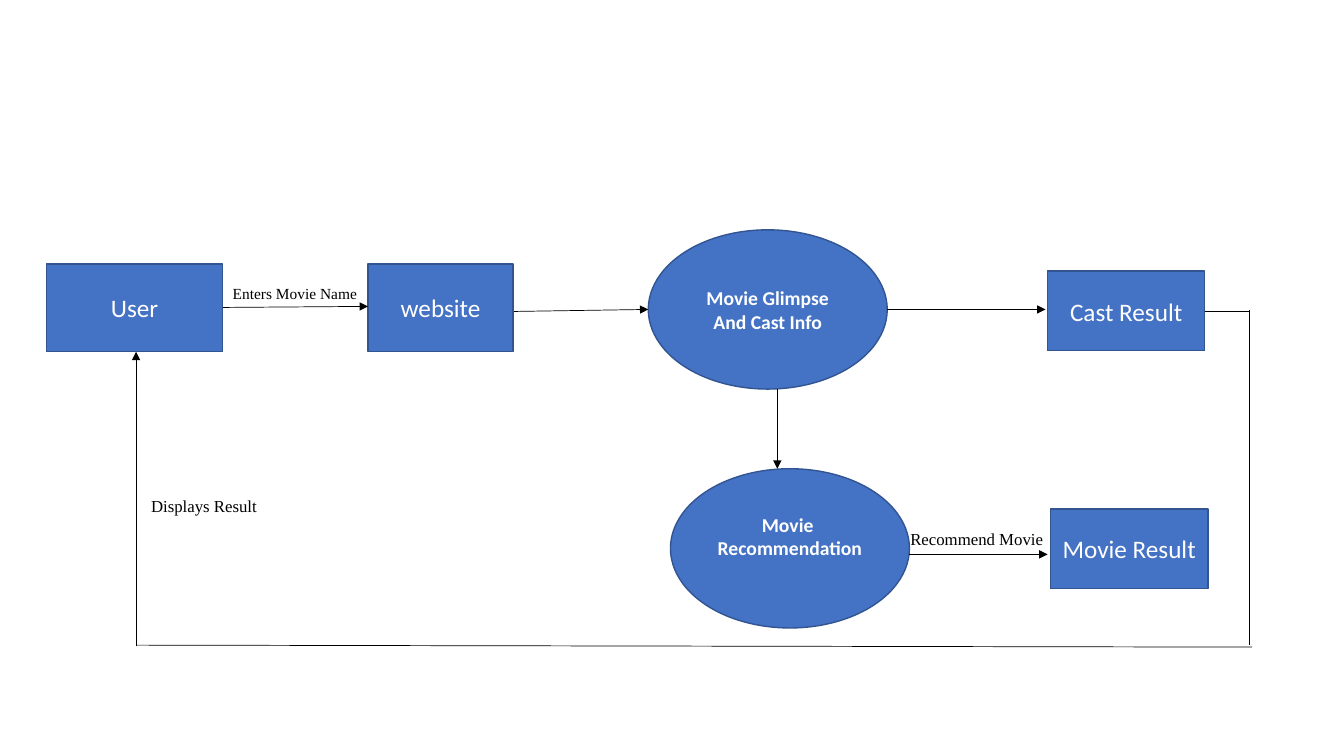
from lxml.etree import SubElement
from pptx import Presentation
from pptx.dml.color import RGBColor
from pptx.enum.shapes import MSO_CONNECTOR, MSO_SHAPE
from pptx.enum.text import MSO_ANCHOR, PP_ALIGN
from pptx.oxml.ns import qn
from pptx.util import Inches, Pt

BLUE = RGBColor(0x44, 0x72, 0xC4)
DARK_BLUE = RGBColor(0x32, 0x54, 0x91)
WHITE = RGBColor(0xFF, 0xFF, 0xFF)
BLACK = RGBColor(0x00, 0x00, 0x00)


class FlowDiagram:
    box_font = {"name": "Calibri", "size": Pt(18), "bold": False}
    process_font = {"name": "Calibri", "size": Pt(14), "bold": True}
    label_font = {"name": "Times New Roman"}

    def __init__(self, slide):
        self.slide = slide

    def fill_text(self, text_frame, text, font_format, color, alignment):
        text_frame.text = text
        for paragraph in text_frame.paragraphs:
            paragraph.alignment = alignment
            for run in paragraph.runs:
                for name, value in font_format.items():
                    setattr(run.font, name, value)
                run.font.color.rgb = color

    def node(self, kind, bounds, text, font_format):
        shape = self.slide.shapes.add_shape(kind, *map(Inches, bounds))
        shape.shadow.inherit = False
        shape.fill.solid()
        shape.fill.fore_color.rgb = BLUE
        shape.line.color.rgb = DARK_BLUE
        shape.line.width = Pt(1)
        shape.text_frame.word_wrap = True
        shape.text_frame.vertical_anchor = MSO_ANCHOR.MIDDLE
        self.fill_text(shape.text_frame, text, font_format, WHITE, PP_ALIGN.CENTER)
        return shape

    def box(self, left, top, width, height, text):
        bounds = (left, top, width, height)
        return self.node(MSO_SHAPE.RECTANGLE, bounds, text, self.box_font)

    def process(self, left, top, text):
        bounds = (left, top, 2.37, 1.58)
        return self.node(MSO_SHAPE.FLOWCHART_CONNECTOR, bounds, text, self.process_font)

    def label(self, left, top, width, height, text, size, wrap=True):
        text_box = self.slide.shapes.add_textbox(*map(Inches, (left, top, width, height)))
        text_box.text_frame.word_wrap = wrap
        font_format = {**self.label_font, "size": Pt(size)}
        self.fill_text(text_box.text_frame, text, font_format, BLACK, PP_ALIGN.LEFT)

    def line(self, start, end, arrow=False):
        connector = self.slide.shapes.add_connector(
            MSO_CONNECTOR.STRAIGHT, *map(Inches, start + end))
        connector.line.color.rgb = BLACK
        connector.line.width = Pt(0.5)
        properties = connector._element.spPr
        if arrow:
            SubElement(properties.find(qn("a:ln")), qn("a:tailEnd"), type="triangle")
        SubElement(properties, qn("a:effectLst"))


def main():
    presentation = Presentation()
    presentation.slide_width = Inches(13.33)
    presentation.slide_height = Inches(7.5)
    diagram = FlowDiagram(presentation.slides.add_slide(presentation.slide_layouts[6]))

    for box in (
        (0.46, 2.62, 1.75, 0.87, "User"),
        (3.65, 2.62, 1.44, 0.87, "website"),
        (10.42, 5.05, 1.56, 0.79, "Movie Result"),
        (10.39, 2.69, 1.56, 0.79, "Cast Result"),
    ):
        diagram.box(*box)

    diagram.process(6.43, 2.28, "Movie Glimpse\nAnd Cast Info")
    recommendation = diagram.process(6.65, 4.65, "Movie \nRecommendation")
    recommendation.text_frame.margin_bottom = Inches(0.29)

    diagram.label(2.21, 2.77, 1.44, 0.29, "Enters Movie Name", 11)
    diagram.label(1.4, 4.87, 1.26, 0.3, "Displays Result", 12, wrap=False)
    diagram.label(8.93, 5.2, 1.92, 0.3, "Recommend Movie", 12)

    for start, end in (
        ((2.21, 3.05), (3.65, 3.04)),
        ((5.1, 3.09), (6.43, 3.07)),
        ((7.71, 3.86), (7.71, 4.65)),
        ((8.8, 3.07), (10.37, 3.07)),
        ((9.02, 5.5), (10.39, 5.5)),
        ((1.35, 6.41), (1.35, 3.49)),
    ):
        diagram.line(start, end, arrow=True)

    for start, end in (
        ((11.95, 3.09), (12.39, 3.09)),
        ((12.39, 3.08), (12.39, 6.4)),
        ((12.42, 6.42), (1.35, 6.4)),
    ):
        diagram.line(start, end)

    presentation.save("out.pptx")


if __name__ == "__main__":
    main()
